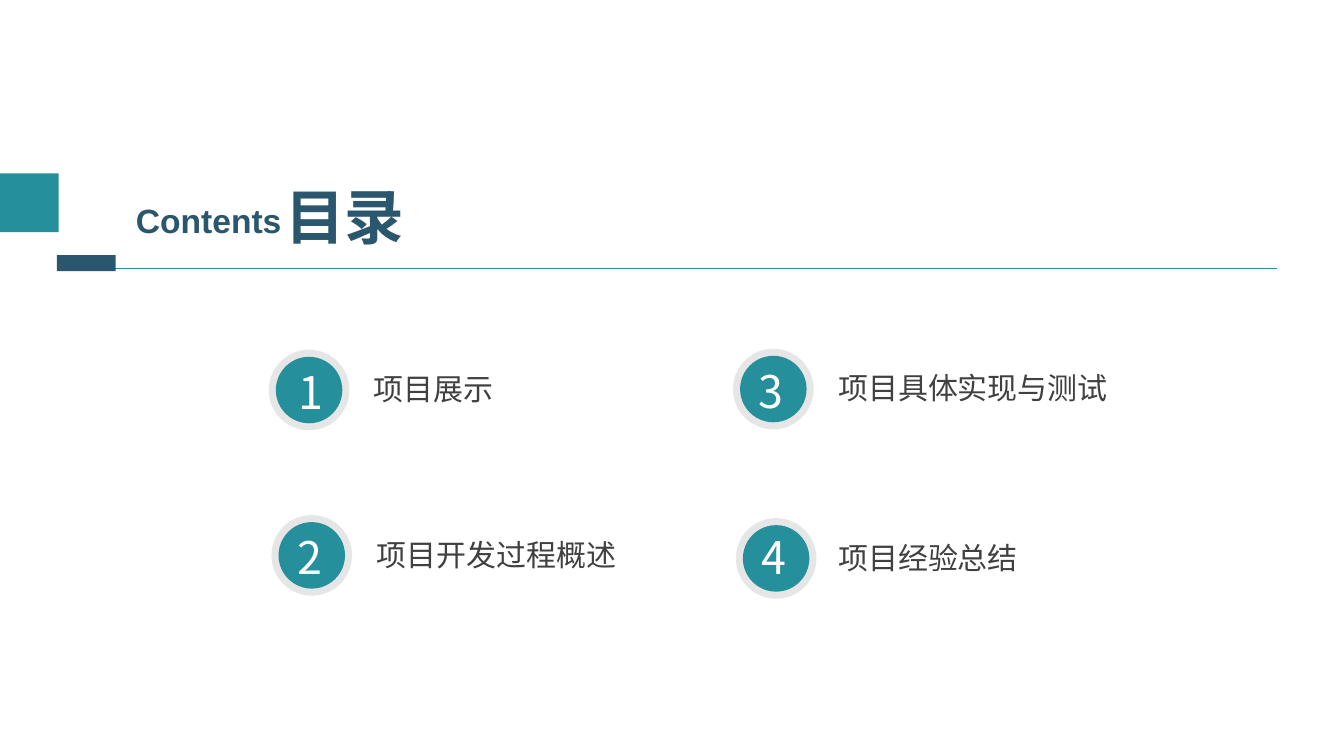
import pptx
import pptx.util
import pptx.dml.color
import pptx.enum.shapes
import pptx.enum.text
import pptx.oxml.ns
import lxml.etree

Pt = pptx.util.Pt
SHAPES = pptx.enum.shapes.MSO_SHAPE
TEAL, NAVY, GREY, DARK, WHITE = "268F9C", "2A566E", "E7E6E6", "404040", "FFFFFF"
CJK = "Noto Sans CJK SC"
RING, BADGE = 57.6, 47.5

# number, label, then left and top of the ring, the number and the label, and label width
ENTRIES = [
    ("1", "项目展示", (192, 249.8), (205.9, 257), (259.9, 261.4), 357),
    ("2", "项目开发过程概述", (193.9, 367.9), (205.2, 375.1), (262.1, 379.4), 357),
    ("3", "项目具体实现与测试", (523.6, 249.1), (535, 256.3), (591.8, 260.6), 230.4),
    ("4", "项目经验总结", (525.6, 370.1), (537.1, 375.1), (591.8, 381.6), 230.4),
]


def colour(value):
    return pptx.dml.color.RGBColor.from_string(value)


def place(item, left, top, width, height):
    item.left, item.top, item.width, item.height = map(Pt, (left, top, width, height))


def write(item, words, size, font, ink, bold=False):
    """Fill a text box or placeholder with one left-aligned run."""
    frame = item.text_frame
    frame.word_wrap = True
    frame.auto_size = pptx.enum.text.MSO_AUTO_SIZE.NONE
    frame.vertical_anchor = pptx.enum.text.MSO_ANCHOR.TOP
    paragraph = frame.paragraphs[0]
    paragraph.alignment = pptx.enum.text.PP_ALIGN.LEFT
    run = paragraph.add_run()
    run.text = words
    run.font.size = Pt(size)
    run.font.bold = bold
    run.font.name = font
    run.font.color.rgb = colour(ink)
    east_asian = lxml.etree.Element(pptx.oxml.ns.qn("a:ea"), typeface=font)
    run.font._element.find(pptx.oxml.ns.qn("a:latin")).addnext(east_asian)


def add_text(slide, box, words, size, font, ink, bold=False):
    write(slide.shapes.add_textbox(*map(Pt, box)), words, size, font, ink, bold)


def add_solid(slide, kind, box, fill):
    solid = slide.shapes.add_shape(kind, *map(Pt, box))
    solid.shadow.inherit = False
    solid.fill.solid()
    solid.fill.fore_color.rgb = colour(fill)
    solid.line.fill.background()


def add_rule(slide, left, right, height):
    rule = slide.shapes.add_connector(
        pptx.enum.shapes.MSO_CONNECTOR.STRAIGHT, Pt(left), Pt(height), Pt(right), Pt(height))
    rule.line.color.rgb = colour(TEAL)
    rule.line.width = Pt(0.75)
    lxml.etree.SubElement(rule._element.spPr, pptx.oxml.ns.qn("a:effectLst"))


def add_heading(slide):
    add_rule(slide, 42.5, 912.2, 191.5)
    place(slide.shapes.title, 196.6, 124.6, 123.1, 59)
    write(slide.shapes.title, "目录", 42.6, CJK, NAVY, True)
    add_text(slide, (90, 139, 148.3, 36), "Contents", 24, "Arial", NAVY, True)
    add_solid(slide, SHAPES.RECTANGLE, (0, 123.8, 42, 42), TEAL)
    add_solid(slide, SHAPES.RECTANGLE, (40.6, 182.2, 42, 11.5), NAVY)


def add_entry(slide, number, label, ring_at, number_at, label_at, label_width):
    inset = (RING - BADGE) / 2
    badge_at = [edge + inset for edge in ring_at]
    add_solid(slide, SHAPES.OVAL, (*ring_at, RING, RING), GREY)
    add_solid(slide, SHAPES.OVAL, (*badge_at, BADGE, BADGE), TEAL)
    add_text(slide, (*number_at, 34.6, 46), number, 32, CJK, WHITE)
    add_text(slide, (*label_at, label_width, 33), label, 21.4, CJK, DARK)


def main():
    deck = pptx.Presentation()
    deck.slide_width, deck.slide_height = Pt(960), Pt(540)
    slide = deck.slides.add_slide(deck.slide_layouts[5])
    add_heading(slide)
    for entry in ENTRIES:
        add_entry(slide, *entry)
    deck.save("out.pptx")


if __name__ == "__main__":
    main()
